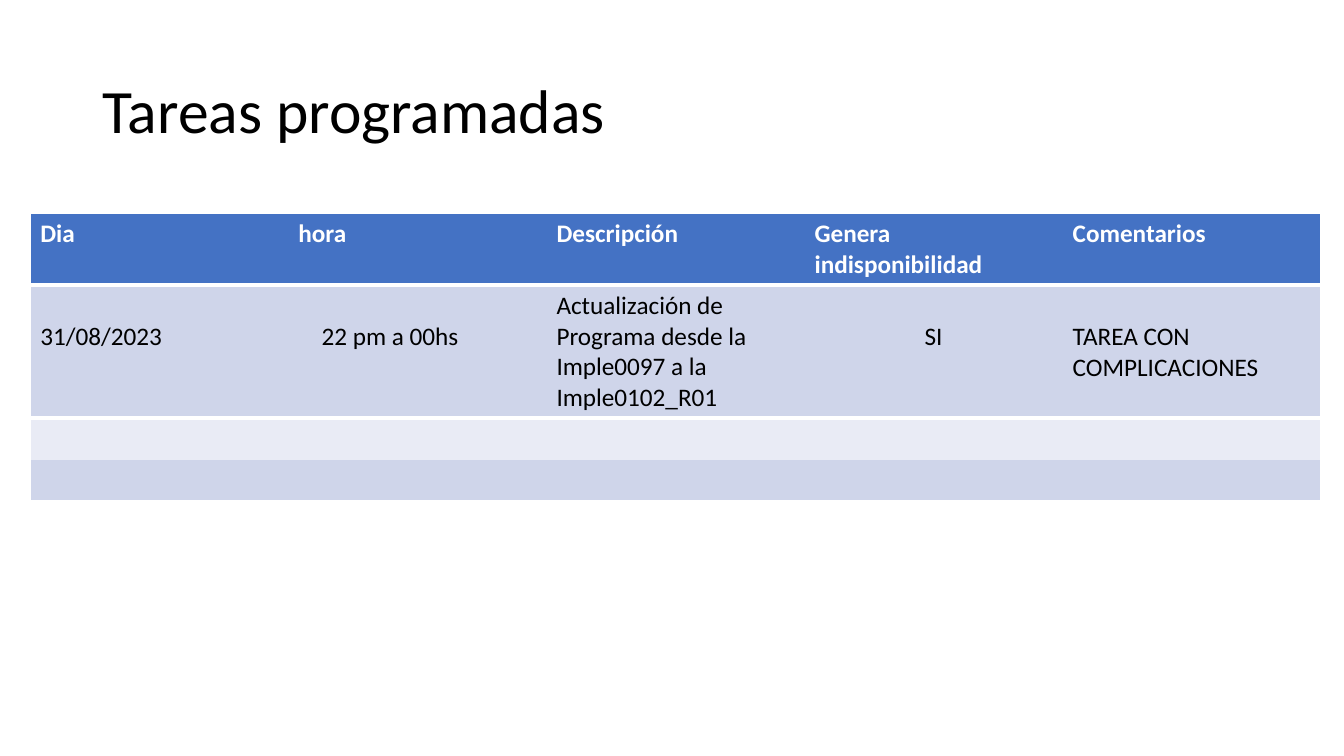
from lxml import etree
from pptx import Presentation
from pptx import util as u
from pptx.dml.color import RGBColor
from pptx.enum import text
from pptx.oxml.ns import qn

PX = 9144  # EMU per px, 100 px to the inch
WHITE = RGBColor(0xFF, 0xFF, 0xFF)
BLACK = RGBColor(0x00, 0x00, 0x00)
HEADER_BLUE = RGBColor(0x44, 0x72, 0xC4)
BAND_DARK = RGBColor(0xCF, 0xD5, 0xEA)
BAND_LIGHT = RGBColor(0xE9, 0xEB, 0xF5)
PLAIN_TABLE_STYLE = "{2D5ABB26-0587-4C30-8999-92F81FD0307C}"

HEADINGS = ["Dia", "hora", "Descripción", "Genera indisponibilidad", "Comentarios"]
TASK = [
    "31/08/2023",
    "22 pm a 00hs",
    "Actualización de Programa desde la Imple0097 a la Imple0102_R01",
    "SI",
    "TAREA CON COMPLICACIONES",
]
ROW_HEIGHTS = [71, 132, 41, 41]
ROW_FILLS = [HEADER_BLUE, BAND_DARK, BAND_LIGHT, BAND_DARK]
COLUMN_WIDTH = 256
LINE_DROP = 36  # top margin that starts the text on the second line
HOUR_INDENT = 33


def write(frame, content, size=18, color=BLACK, bold=False,
          align=text.PP_ALIGN.LEFT, line_spacing=1.0, font="Calibri"):
    paragraph = frame.paragraphs[0]
    paragraph.alignment = align
    paragraph.line_spacing = line_spacing
    run = paragraph.add_run()
    run.text = content
    run.font.name = font
    run.font.size = u.Pt(size)
    run.font.bold = bold
    run.font.color.rgb = color


class SlideBuilder:
    def __init__(self, presentation):
        self.slide = presentation.slides.add_slide(presentation.slide_layouts[6])

    def title(self, content, left, top, width, height):
        box = self.slide.shapes.add_textbox(left * PX, top * PX, width * PX, height * PX)
        frame = box.text_frame
        frame.word_wrap = True
        frame.vertical_anchor = text.MSO_ANCHOR.MIDDLE
        write(frame, content, size=44, line_spacing=0.9)

    def table(self, left, top, row_heights, row_fills, columns):
        frame = self.slide.shapes.add_table(
            len(row_heights), columns, left * PX, top * PX,
            columns * COLUMN_WIDTH * PX, sum(row_heights) * PX)
        table = frame.table
        table.horz_banding = False
        frame._element.find(".//" + qn("a:tableStyleId")).text = PLAIN_TABLE_STYLE
        for column in table.columns:
            column.width = COLUMN_WIDTH * PX
        for row, height, fill in zip(table.rows, row_heights, row_fills):
            row.height = height * PX
            for cell in row.cells:
                cell.fill.solid()
                cell.fill.fore_color.rgb = fill
        return table

    def border(self, cell, sides):
        """Draw white borders; sides maps L, R, T, B to widths in points."""
        properties = cell._tc.get_or_add_tcPr()
        ordered = [side for side in "LRTB" if side in sides]
        for position, side in enumerate(ordered):
            line = etree.Element(qn("a:ln" + side), w=str(u.Pt(sides[side])))
            fill = etree.SubElement(line, qn("a:solidFill"))
            etree.SubElement(fill, qn("a:srgbClr"), val=str(WHITE))
            properties.insert(position, line)


def main():
    presentation = Presentation()
    presentation.slide_width = 1333 * PX
    presentation.slide_height = 750 * PX
    builder = SlideBuilder(presentation)

    # Title
    builder.title("Tareas programadas", 92, 40, 1150, 145)

    # Task table
    table = builder.table(30, 212, ROW_HEIGHTS, ROW_FILLS, len(HEADINGS))
    for column, (heading, value) in enumerate(zip(HEADINGS, TASK)):
        write(table.cell(0, column).text_frame, heading, color=WHITE, bold=True)
        cell = table.cell(1, column)
        centered = heading.startswith("Genera")
        write(cell.text_frame, value,
              align=text.PP_ALIGN.CENTER if centered else text.PP_ALIGN.LEFT)
        if heading != "Descripción":
            cell.margin_top = LINE_DROP * PX
        if heading == "hora":
            cell.margin_left = HOUR_INDENT * PX

    # White outer frame and the rule under the headings
    last_row, last_column = len(ROW_HEIGHTS) - 1, len(HEADINGS) - 1
    for row in range(last_row + 1):
        for column in range(last_column + 1):
            sides = {}
            if column == 0:
                sides["L"] = 1
            if column == last_column:
                sides["R"] = 1
            if row == 0:
                sides.update(T=1, B=3)
            if row == 1:
                sides["T"] = 3
            if row == last_row:
                sides["B"] = 1
            builder.border(table.cell(row, column), sides)

    presentation.save("out.pptx")


if __name__ == "__main__":
    main()
